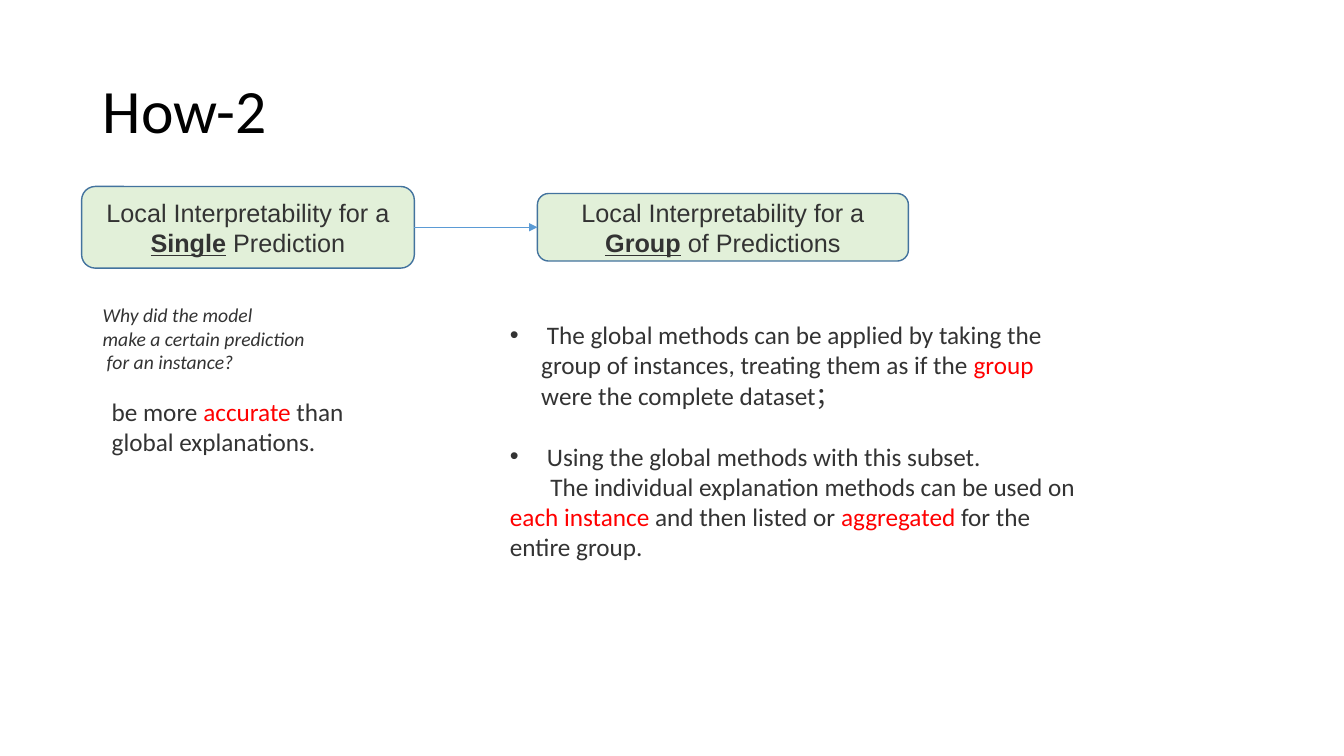
from dataclasses import dataclass, field

from lxml import etree
from pptx import Presentation
from pptx import util as u
from pptx.dml.color import RGBColor
from pptx.enum import shapes, text
from pptx.oxml.ns import qn

PX = 9144  # EMU per px, 100 px to the inch
INK, RED, BLACK = "333333", "FF0000", "000000"
GREEN, BORDER, BLUE = "E2F0D9", "43739E", "5B9BD5"


@dataclass
class Span:
    words: str
    color: str = INK
    format: dict = field(default_factory=dict)


@dataclass
class Para:
    spans: list[Span]
    bullet: bool = False
    first_line: int = 0  # px
    gap_after: int = 0  # points


@dataclass
class Block:
    at: tuple[int, int, int, int]  # left, top, width, height in px
    paras: list[Para]
    font: dict


def px(length: int) -> u.Emu:
    return u.Emu(length * PX)


def rgb(color: str) -> RGBColor:
    return RGBColor.from_string(color)


def set_all(target, values: dict) -> None:
    for name, value in values.items():
        setattr(target, name, value)


def write(frame, paras: list[Para], font: dict, align=text.PP_ALIGN.LEFT) -> None:
    frame.word_wrap = True
    for index, item in enumerate(paras):
        para = frame.add_paragraph() if index else frame.paragraphs[0]
        set_all(para, {"alignment": align, "space_before": u.Pt(0),
                       "space_after": u.Pt(item.gap_after)})
        properties = para._p.get_or_add_pPr()
        properties.set("marL", str(px(31 if item.bullet else 0)))
        properties.set("indent", str(px(-31 if item.bullet else item.first_line)))
        if item.bullet:
            etree.SubElement(properties, qn("a:buFont")).set("typeface", "Arial")
            etree.SubElement(properties, qn("a:buChar")).set("char", "•")
        for piece in item.spans:
            span = para.add_run()
            span.text = piece.words
            set_all(span.font, font | piece.format)
            span.font.color.rgb = rgb(piece.color)


def add_note(page, block: Block) -> None:
    box = page.shapes.add_textbox(*map(px, block.at))
    write(box.text_frame, block.paras, block.font)
    box.text_frame.auto_size = text.MSO_AUTO_SIZE.SHAPE_TO_FIT_TEXT


def add_heading_box(page, block: Block):
    box = page.shapes.add_shape(shapes.MSO_SHAPE.ROUNDED_RECTANGLE, *map(px, block.at))
    box.shadow.inherit = False
    box.fill.solid()
    box.fill.fore_color.rgb = rgb(GREEN)
    box.line.color.rgb = rgb(BORDER)
    box.line.width = u.Pt(1)
    box.text_frame.vertical_anchor = text.MSO_ANCHOR.MIDDLE
    write(box.text_frame, block.paras, block.font, text.PP_ALIGN.CENTER)
    return box


def add_arrow(page, start, end) -> None:
    arrow = page.shapes.add_connector(shapes.MSO_CONNECTOR.STRAIGHT, 0, 0, 0, 0)
    arrow.begin_connect(start, 3)
    arrow.end_connect(end, 1)
    arrow.line.color.rgb = rgb(BLUE)
    arrow.line.width = u.Pt(0.5)
    etree.SubElement(arrow.line._get_or_add_ln(), qn("a:tailEnd")).set("type", "triangle")
    etree.SubElement(arrow._element.spPr, qn("a:effectLst"))


def heading(at: tuple[int, int, int, int], key: str, ending: str) -> Block:
    spans = [Span("Local Interpretability for a "),
             Span(key, format={"bold": True, "underline": True}), Span(ending)]
    return Block(at, [Para(spans)], {"name": "Arial", "size": u.Pt(18)})


BODY = {"name": "Calibri", "size": u.Pt(18)}
QUESTION = {"name": "Calibri", "size": u.Pt(14), "italic": True}

HEADINGS = [
    heading((81, 185, 330, 81), "Single", " Prediction"),
    heading((533, 192, 368, 67), "Group", " of Predictions"),
]
NOTES = [
    Block((92, 296, 233, 81), [
        Para([Span("Why did the model")]),
        Para([Span("make a certain prediction")]),
        Para([Span("for an instance?")], first_line=4),
    ], QUESTION),
    Block((101, 388, 257, 71), [
        Para([Span("be more "), Span("accurate", RED), Span(" than global explanations.")]),
    ], BODY),
    Block((496, 312, 594, 252), [
        Para([Span(" The global methods can be applied by taking the group of instances, "
                   "treating them as if the "),
              Span("group", RED), Span(" were the complete dataset；")],
             bullet=True, gap_after=22),
        Para([Span(" Using the global methods with this subset.")], bullet=True),
        Para([Span("The individual explanation methods can be used on "),
              Span("each instance ", RED), Span("and then listed or "),
              Span("aggregated", RED), Span(" for the entire group.")], first_line=40),
    ], BODY),
]


def main() -> None:
    deck = Presentation()
    deck.slide_width, deck.slide_height = px(1333), px(750)
    page = deck.slides.add_slide(deck.slide_layouts[5])

    # Title
    title = page.shapes.title
    set_all(title, dict(zip(("left", "top", "width", "height"),
                            map(px, (92, 40, 1150, 145)))))
    title.text_frame.vertical_anchor = text.MSO_ANCHOR.MIDDLE
    write(title.text_frame, [Para([Span("How-2", BLACK)])],
          {"name": "Calibri", "size": u.Pt(44)})
    title.text_frame.paragraphs[0].line_spacing = 0.9

    # Headings joined by an arrow
    single, group = [add_heading_box(page, block) for block in HEADINGS]
    add_arrow(page, single, group)

    # Explanations
    for block in NOTES:
        add_note(page, block)

    deck.save("out.pptx")


if __name__ == "__main__":
    main()
